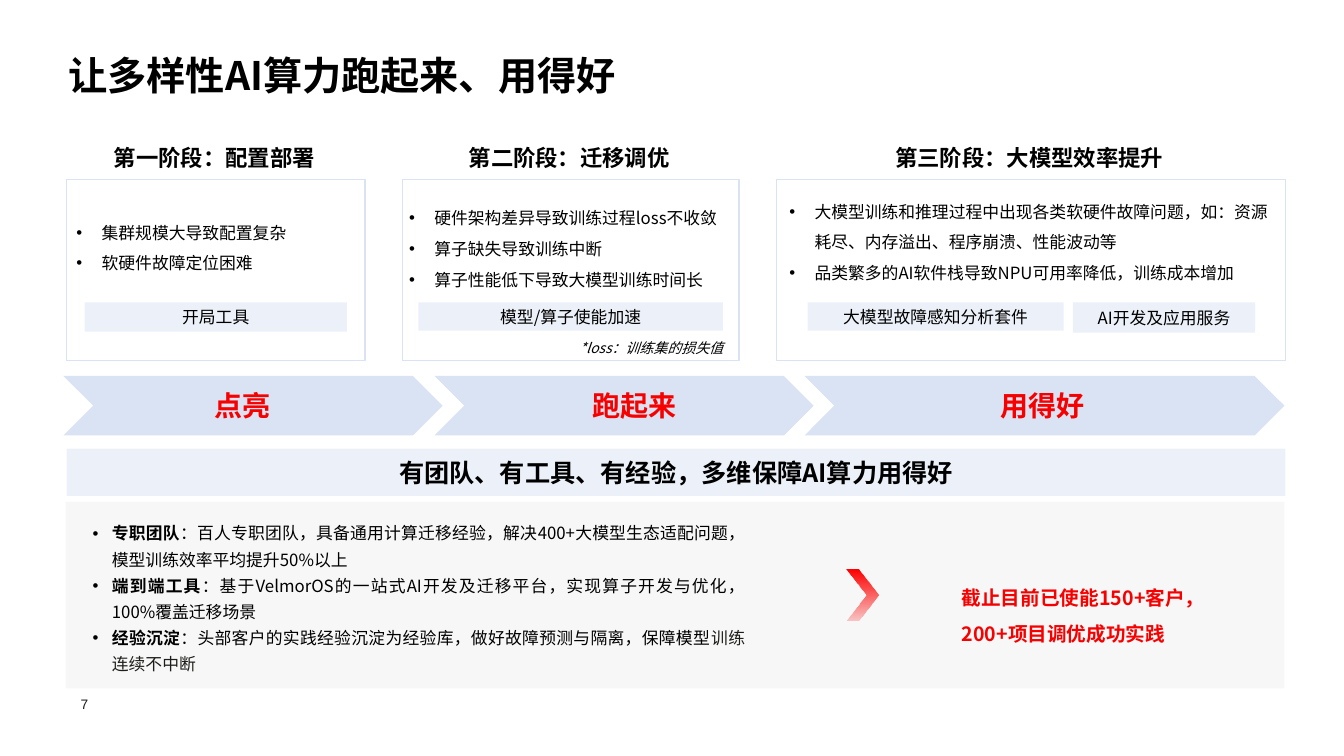
"""Build the slide on the three stages of making diverse AI computing power run well."""
from dataclasses import dataclass

from lxml.etree import SubElement
from pptx import Presentation
from pptx.dml.color import RGBColor
from pptx.enum.shapes import MSO_SHAPE
from pptx.enum.text import MSO_ANCHOR, MSO_AUTO_SIZE, PP_ALIGN
from pptx.oxml.ns import qn
from pptx.shapes.autoshape import Shape
from pptx.util import Inches, Length, Pt

FONT = "Noto Sans CJK SC"
BLACK, RED, PALE_BLUE = "000000", "F70000", "DAE3F3"
Box = tuple[float, float, float, float]


@dataclass(frozen=True)
class Style:
    size: float
    color: str = BLACK
    bold: bool = False
    italic: bool = False
    font: str = FONT
    align: PP_ALIGN = PP_ALIGN.LEFT
    anchor: MSO_ANCHOR = MSO_ANCHOR.TOP
    spacing: float | Length | None = None
    insets: Box = (0.1, 0.05, 0.1, 0.05)
    wrap: bool = True
    grow: bool = False
    indent: float = 0


@dataclass(frozen=True)
class Run:
    text: str
    bold: bool | None = None
    color: str | None = None


@dataclass(frozen=True)
class Tool:
    name: str
    box: Box


@dataclass(frozen=True)
class Stage:
    heading: str
    heading_box: Box
    frame_left: float
    frame_width: float
    problems: list[str]
    problems_box: Box
    tools: list[Tool]
    arrow_left: float
    arrow_width: float
    goal: str
    goal_left: float
    goal_width: float


TITLE = Style(28, bold=True, spacing=Pt(34.3), insets=(0, 0, 0, 0))
HEADING = Style(16, bold=True, wrap=False, grow=True)
PROBLEM = Style(12, anchor=MSO_ANCHOR.MIDDLE, spacing=Pt(22), insets=(0.1, 0.16, 0.1, 0.05), indent=0.25)
TOOL = Style(12, align=PP_ALIGN.CENTER, anchor=MSO_ANCHOR.MIDDLE, insets=(0.03, 0.01, 0.03, 0.01), wrap=False)
GOAL = Style(20, RED, bold=True, wrap=False, grow=True)
FOOTNOTE = Style(10, italic=True, grow=True)
BANNER = Style(18, bold=True, align=PP_ALIGN.CENTER, anchor=MSO_ANCHOR.MIDDLE)
STRENGTH = Style(12, align=PP_ALIGN.JUSTIFY, anchor=MSO_ANCHOR.MIDDLE, spacing=1.3,
                 insets=(0.12, 0, 0.08, 0), indent=0.19)
RESULT = Style(14, RED, bold=True, spacing=1.5, grow=True)
PAGE_NUMBER = Style(9.8, "1D1D1B", font="Arial", insets=(0, 0, 0, 0), grow=True)

STAGES = [
    Stage("第一阶段：配置部署", (1.03, 1.38, 2.22, 0.37), 0.66, 2.96,
          ["集群规模大导致配置复杂", "软硬件故障定位困难"], (0.66, 1.84, 3.02, 1.02),
          [Tool("开局工具", (0.84, 3, 2.6, 0.29))],
          0.63, 3.76, "点亮", 2.03, 0.76),
    Stage("第二阶段：迁移调优", (4.55, 1.38, 2.22, 0.37), 3.99, 3.34,
          ["硬件架构差异导致训练过程loss不收敛", "算子缺失导致训练中断", "算子性能低下导致大模型训练时间长"],
          (3.96, 1.71, 3.4, 1.3),
          [Tool("模型/算子使能加速", (4.15, 3, 3.02, 0.28))],
          4.31, 3.76, "跑起来", 5.78, 1.04),
    Stage("第三阶段：大模型效率提升", (8.78, 1.38, 2.89, 0.37), 7.7, 5.05,
          ["大模型训练和推理过程中出现各类软硬件故障问题，如：资源耗尽、内存溢出、程序崩溃、性能波动等",
           "品类繁多的AI软件栈导致NPU可用率降低，训练成本增加"],
          (7.73, 1.71, 5.11, 1.17),
          [Tool("大模型故障感知分析套件", (8.01, 3, 2.54, 0.28)),
           Tool("AI开发及应用服务", (10.64, 3, 1.81, 0.3))],
          7.98, 4.76, "用得好", 9.82, 1.04),
]

STRENGTHS = [
    [Run("专职团队", True),
     Run("：百人专职团队，具备通用计算迁移经验，解决400+大模型生态适配问题，模型训练效率平均提升50%以上")],
    [Run("端到端工具", True),
     Run("：基于VelmorOS的一站式AI开发及迁移平台，实现算子开发与优化，100%覆盖迁移场景")],
    [Run("经验沉淀", True),
     Run("：头部客户的实践经验沉淀为经验库，做好故障预测与隔离，保障模型"),
     Run("训练连续不中断", color="1D1D1A")],
]


def rgb(color: str) -> RGBColor:
    return RGBColor.from_string(color)


def set_alpha(color_element, percent: int) -> None:
    SubElement(color_element, qn("a:alpha")).set("val", str(percent * 1000))


def write(shape: Shape, paragraphs: list[list[Run]], style: Style) -> None:
    frame = shape.text_frame
    frame.word_wrap = style.wrap
    frame.auto_size = MSO_AUTO_SIZE.SHAPE_TO_FIT_TEXT if style.grow else MSO_AUTO_SIZE.NONE
    frame.vertical_anchor = style.anchor
    frame.margin_left, frame.margin_top, frame.margin_right, frame.margin_bottom = map(Inches, style.insets)
    for index, runs in enumerate(paragraphs):
        paragraph = frame.add_paragraph() if index else frame.paragraphs[0]
        paragraph.alignment = style.align
        paragraph.line_spacing = style.spacing
        if style.indent:
            properties = paragraph._p.get_or_add_pPr()
            properties.set("marL", str(Inches(style.indent)))
            properties.set("indent", str(-Inches(style.indent)))
            SubElement(properties, qn("a:buFont")).set("typeface", "Arial")
            SubElement(properties, qn("a:buChar")).set("char", "•")
        font = paragraph.font
        font.name, font.size = style.font, Pt(style.size)
        font.bold, font.italic = style.bold, style.italic
        font.color.rgb = rgb(style.color)
        default_run = paragraph._p.pPr.find(qn("a:defRPr"))
        SubElement(default_run, qn("a:ea")).set("typeface", style.font)
        for part in runs:
            run = paragraph.add_run()
            run.text = part.text
            if part.bold is not None:
                run.font.bold = part.bold
            if part.color:
                run.font.color.rgb = rgb(part.color)


def add_text(slide, box: Box, lines: list[str], style: Style) -> None:
    write(slide.shapes.add_textbox(*map(Inches, box)), [[Run(line)] for line in lines], style)


def add_block(slide, kind: MSO_SHAPE, box: Box, fill: str | None = None,
              alpha: int = 100, line: str | None = None) -> Shape:
    shape = slide.shapes.add_shape(kind, *map(Inches, box))
    shape.shadow.inherit = False
    if fill:
        shape.fill.solid()
        shape.fill.fore_color.rgb = rgb(fill)
        if alpha < 100:
            set_alpha(next(shape.element.spPr.iter(qn("a:srgbClr"))), alpha)
    else:
        shape.fill.background()
    if line:
        shape.line.color.rgb = rgb(line)
        shape.line.width = Pt(1)
    else:
        shape.line.fill.background()
    return shape


def add_stage(slide, stage: Stage) -> None:
    add_text(slide, stage.heading_box, [stage.heading], HEADING)
    add_block(slide, MSO_SHAPE.RECTANGLE, (stage.frame_left, 1.78, stage.frame_width, 1.8), line=PALE_BLUE)
    for tool in stage.tools:
        label = add_block(slide, MSO_SHAPE.RECTANGLE, tool.box, PALE_BLUE, 50)
        write(label, [[Run(tool.name)]], TOOL)
    add_text(slide, stage.problems_box, stage.problems, PROBLEM)
    add_block(slide, MSO_SHAPE.CHEVRON, (stage.arrow_left, 3.73, stage.arrow_width, 0.59), PALE_BLUE)
    add_text(slide, (stage.goal_left, 3.81, stage.goal_width, 0.44), [stage.goal], GOAL)


def add_fading_chevron(slide, box: Box) -> None:
    chevron = add_block(slide, MSO_SHAPE.CHEVRON, box)
    chevron.adjustments[0] = 0.615
    chevron.fill.gradient()
    chevron.fill.gradient_angle = 270
    for stop in chevron.fill.gradient_stops:
        stop.color.rgb = rgb("FF0000")
    set_alpha(list(chevron.element.spPr.iter(qn("a:srgbClr")))[-1], 20)


def main() -> None:
    presentation = Presentation()
    presentation.slide_width, presentation.slide_height = Inches(13.33), Inches(7.5)
    slide = presentation.slides.add_slide(presentation.slide_layouts[6])
    add_text(slide, (0.68, 0.5, 11.74, 0.77), ["让多样性AI算力跑起来、用得好"], TITLE)
    for stage in STAGES:
        add_stage(slide, stage)
    add_text(slide, (5.65, 3.32, 1.64, 0.27), ["*loss：训练集的损失值"], FOOTNOTE)
    banner = add_block(slide, MSO_SHAPE.RECTANGLE, (0.66, 4.45, 12.09, 0.47), "ECF1F9")
    write(banner, [[Run("有团队、有工具、有经验，多维保障AI算力用得好")]], BANNER)
    add_block(slide, MSO_SHAPE.RECTANGLE, (0.65, 4.98, 12.09, 1.85), "F2F2F2", 55)
    strengths = slide.shapes.add_textbox(*map(Inches, (0.8, 5.12, 6.67, 1.58)))
    write(strengths, STRENGTHS, STRENGTH)
    add_fading_chevron(slide, (8.4, 5.65, 0.31, 0.51))
    add_text(slide, (9.44, 5.65, 2.57, 0.77), ["截止目前已使能150+客户，200+项目调优成功实践"], RESULT)
    add_text(slide, (0.8, 6.9, 0.55, 0.16), ["7"], PAGE_NUMBER)
    presentation.save("out.pptx")


if __name__ == "__main__":
    main()
